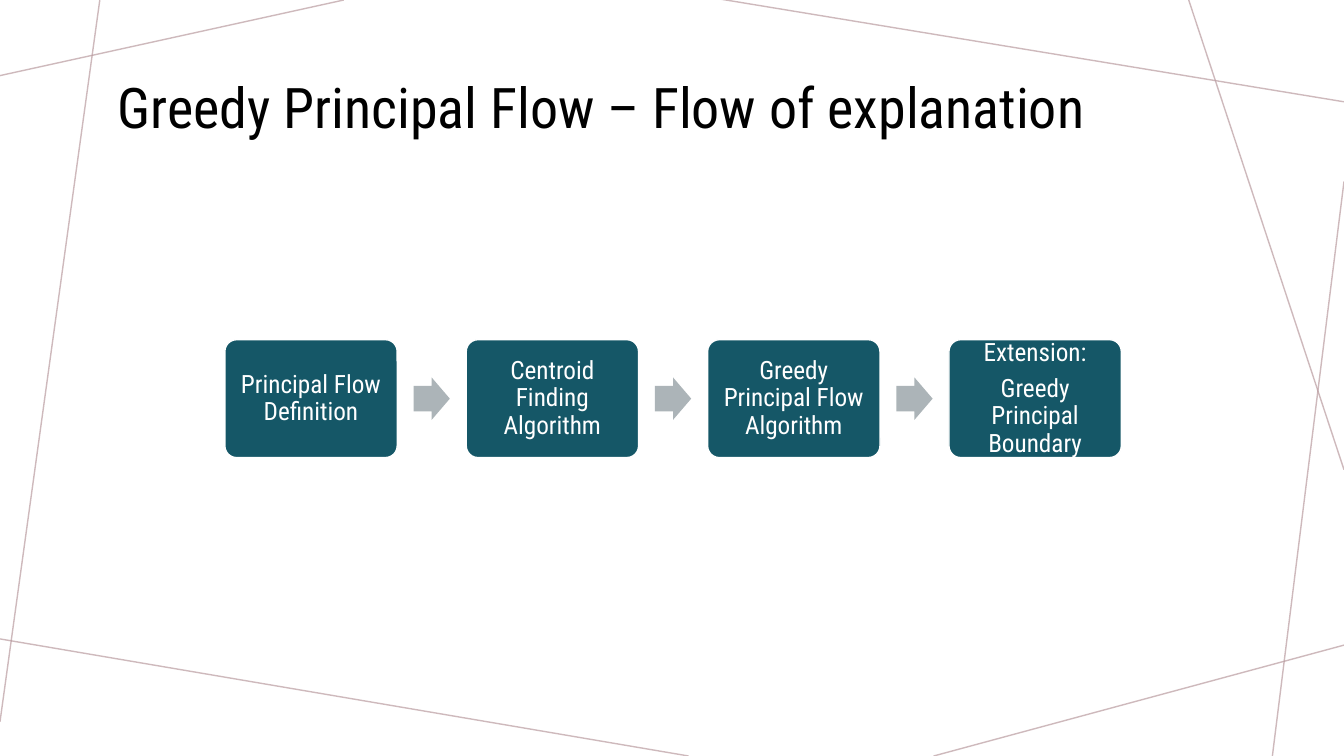
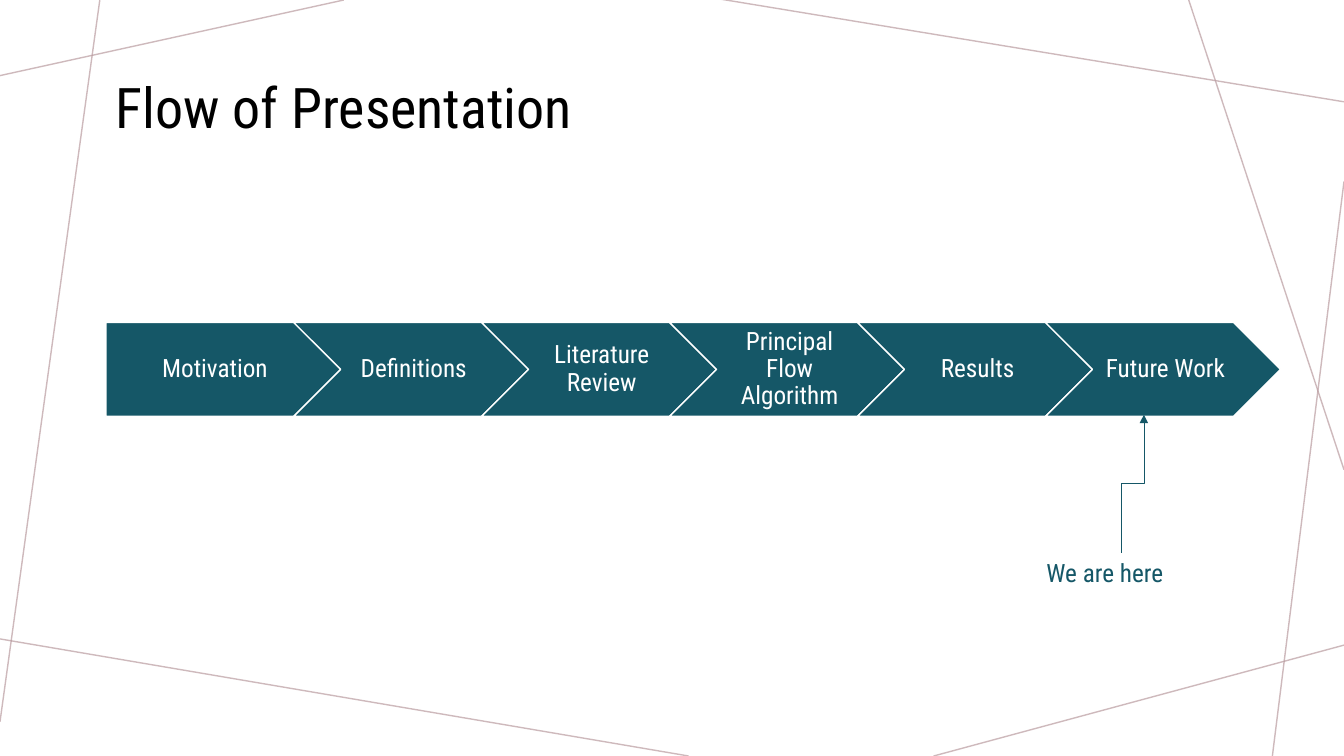
from lxml import etree
from pptx import Presentation, util as u
from pptx.dml.color import RGBColor
from pptx.enum import shapes, text
from pptx.oxml.ns import qn

FONT = "Roboto Condensed"
TEAL = RGBColor(0x15, 0x57, 0x67)
ARROW_GREY = RGBColor(0xAC, 0xB4, 0xB8)
WIRE_ROSE = RGBColor(0xBA, 0x9C, 0xA0)
WHITE = RGBColor(0xFF, 0xFF, 0xFF)
BLACK = RGBColor(0, 0, 0)

WIDTH, HEIGHT = 13.33, 7.5
WIRES = [
    ((3.41, 0), (0, 0.75)),
    ((0.99, 0), (0, 7.16)),
    ((6.83, HEIGHT), (-0.05, 6.33)),
    ((WIDTH, 6.4), (9.26, HEIGHT)),
    ((WIDTH, 1.8), (12.62, HEIGHT)),
    ((WIDTH, 4.66), (11.79, 0)),
    ((WIDTH, 1.01), (7.14, -0.01)),
]

EXPLANATION_STEPS = [
    ["Principal Flow Definition"],
    ["Centroid Finding Algorithm"],
    ["Greedy Principal Flow Algorithm"],
    ["Extension:", "Greedy Principal Boundary"],
]
PRESENTATION_STAGES = [
    "Motivation", "Definitions", "Literature Review",
    "Principal Flow Algorithm", "Results", "Future Work",
]


def add_line(slide, kind, start, end, colour, weight):
    line = slide.shapes.add_connector(kind, *map(u.Inches, (*start, *end)))
    line.line.color.rgb = colour
    line.line.width = u.Pt(weight)
    etree.SubElement(line._element.spPr, qn("a:effectLst"))
    return line


def add_label(slide, box, wording, size, colour):
    label = slide.shapes.add_textbox(*map(u.Inches, box))
    label.text_frame.word_wrap = True
    paragraph = label.text_frame.paragraphs[0]
    paragraph.text = wording
    style_font(paragraph.font, size, colour)


def style_font(font, size, colour):
    font.name, font.size, font.color.rgb = FONT, u.Pt(size), colour


def add_block(slide, preset, box, fill, outline=None):
    block = slide.shapes.add_shape(preset, *map(u.Inches, box))
    block.shadow.inherit = False
    block.fill.solid()
    block.fill.fore_color.rgb = fill
    if outline is None:
        block.line.fill.background()
    else:
        block.line.color.rgb = outline
        block.line.width = u.Pt(1)
    return block


def write_in_block(block, lines, insets):
    """Centre the lines in a block; insets are left, top, right, bottom."""
    frame = block.text_frame
    frame.word_wrap = True
    frame.vertical_anchor = text.MSO_ANCHOR.MIDDLE
    (frame.margin_left, frame.margin_top,
     frame.margin_right, frame.margin_bottom) = map(u.Inches, insets)
    frame.text = "\n".join(lines)
    for paragraph in frame.paragraphs:
        paragraph.alignment = text.PP_ALIGN.CENTER
        paragraph.line_spacing = 0.9
        paragraph.space_after = u.Pt(6.3)
        style_font(paragraph.font, 18, WHITE)


def add_titled_slide(deck, title, left):
    slide = deck.slides.add_slide(deck.slide_layouts[6])
    for start, end in WIRES:
        wire = add_line(slide, shapes.MSO_CONNECTOR.STRAIGHT, start, end, WIRE_ROSE, 1)
        tint = wire._element.spPr.find(".//" + qn("a:srgbClr"))
        etree.SubElement(tint, qn("a:alpha"), val="70000")
    add_label(slide, (left, 0.67, 10.07, 0.77), title, 40, BLACK)
    return slide


def build_explanation(deck):
    slide = add_titled_slide(deck, "Greedy Principal Flow – Flow of explanation", 1.07)
    left, top, width, height = 2.23, 3.37, 1.71, 1.17
    gap = 0.4 * width
    arrow_width, arrow_height = 0.36, 0.42
    for i, lines in enumerate(EXPLANATION_STEPS):
        x = left + i * (width + gap)
        if i:
            arrow_box = (x - (gap + arrow_width) / 2, top + (height - arrow_height) / 2,
                         arrow_width, arrow_height)
            arrow = add_block(slide, shapes.MSO_SHAPE.RIGHT_ARROW, arrow_box, ARROW_GREY)
            arrow.adjustments[0] = 0.6
        step = add_block(slide, shapes.MSO_SHAPE.ROUNDED_RECTANGLE,
                         (x, top, width, height), TEAL, WHITE)
        step.adjustments[0] = 0.1
        write_in_block(step, lines, [0.07] * 4)


def build_presentation_flow(deck):
    slide = add_titled_slide(deck, "Flow of Presentation", 1.05)
    left, top, width, height = 1.05, 3.2, 2.33, 0.93
    for i, stage in enumerate(PRESENTATION_STAGES):
        preset = shapes.MSO_SHAPE.CHEVRON if i else shapes.MSO_SHAPE.PENTAGON
        block = add_block(slide, preset, (left + i * 0.8 * width, top, width, height),
                          TEAL, WHITE)
        write_in_block(block, [stage], (0.08 if i else 0.1, 0.05, 0.03, 0.05))

    # Drawn sideways, then turned a quarter so that it leaves the label upwards.
    pointer = add_line(slide, shapes.MSO_CONNECTOR.ELBOW, (11.92, 4.91), (10.55, 4.69),
                       TEAL, 0.5)
    properties = pointer._element.spPr
    properties.find(qn("a:xfrm")).set("rot", "5400000")
    etree.SubElement(properties.find(qn("a:ln")), qn("a:tailEnd"), type="triangle")
    add_label(slide, (10.28, 5.48, 1.69, 0.4), "We are here", 18, TEAL)


def main():
    deck = Presentation()
    deck.slide_width, deck.slide_height = u.Inches(WIDTH), u.Inches(HEIGHT)
    build_explanation(deck)
    build_presentation_flow(deck)
    deck.save("out.pptx")


if __name__ == "__main__":
    main()
